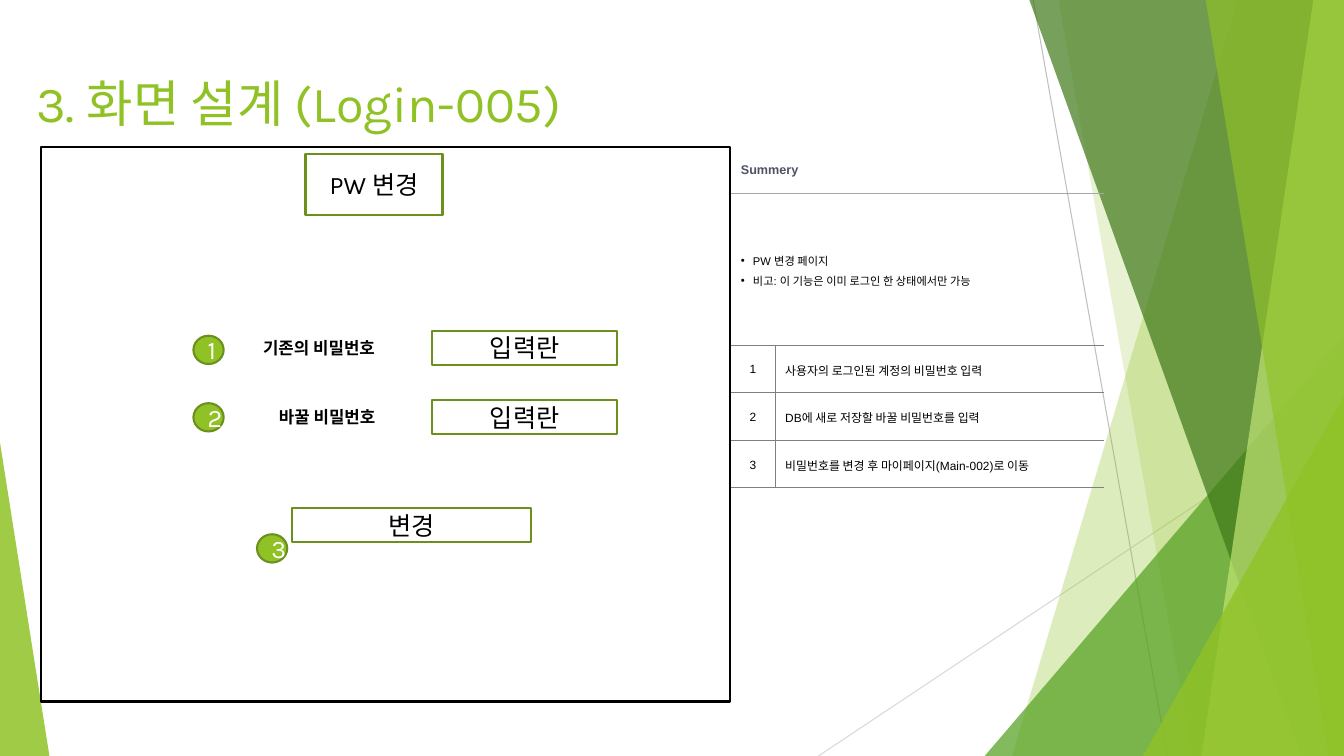
from lxml.etree import SubElement
from pptx import Presentation
from pptx.dml.color import RGBColor
from pptx.enum.shapes import MSO_CONNECTOR, MSO_SHAPE
from pptx.enum.text import MSO_ANCHOR, PP_ALIGN
from pptx.oxml.ns import qn
from pptx.util import Pt

GREEN, DARK_GREEN, WHITE, BLACK = "90C226", "6B901C", "FFFFFF", "000000"
GRAY, LIGHT_GRAY = "808080", "A6A6A6"


def rgb(color):
    return RGBColor.from_string(color)


def add_box(kind, left, top, width, height, fill, line, text="", size=18, color=BLACK, bold=False):
    """Add an outlined shape with centred text."""
    box = slide.shapes.add_shape(kind, Pt(left), Pt(top), Pt(width), Pt(height))
    box.shadow.inherit = False
    box.fill.solid()
    box.fill.fore_color.rgb = rgb(fill)
    box.line.color.rgb = rgb(line)
    box.line.width = Pt(1.5)
    if text:
        box.text_frame.text = text
        box.text_frame.vertical_anchor = MSO_ANCHOR.MIDDLE
        paragraph = box.text_frame.paragraphs[0]
        paragraph.alignment = PP_ALIGN.CENTER
        font = paragraph.runs[0].font
        font.name, font.size, font.bold = "Karla", Pt(size), bold
        font.color.rgb = rgb(color)


presentation = Presentation()
presentation.slide_width, presentation.slide_height = Pt(960), Pt(540)
slide = presentation.slides.add_slide(presentation.slide_layouts[6])

# Background: thin lines, then translucent facets
for x1, y1, x2, y2, color in [(738, 0, 833.8, 540, "BFBFBF"), (960, 290.2, 584.6, 540, "D9D9D9")]:
    ray = slide.shapes.add_connector(MSO_CONNECTOR.STRAIGHT, Pt(x1), Pt(y1), Pt(x2), Pt(y2))
    ray.line.color.rgb = rgb(color)
    ray.line.width = Pt(0.75)
    SubElement(ray._element.spPr, qn("a:effectLst"))

# A band is (top x, bottom x) up to the right edge;
# a triangle is (left, top, width, height, apex).
facets = [
    ((884.2, 722.9), GREEN, 30),
    ((756, 851.8), GREEN, 20),
    ((703.4, 239.8, 256.6, 300.2, 1), "54A021", 72),
    ((735.1, 929.5), "3F7819", 70),
    ((938.2, 858.2), "C0E474", 70),
    ((861.1, 949), GREEN, 65),
    ((816.5, 283, 143.5, 257, 1), GREEN, 80),
    ((0, 316.1, 35.3, 223.9, 0), GREEN, 85),
]
for outline, color, opacity in facets:
    if len(outline) == 2:
        top_x, bottom_x = outline
        builder = slide.shapes.build_freeform(Pt(top_x), Pt(-0.6))
        builder.add_line_segments(
            [(Pt(960), Pt(-0.6)), (Pt(960), Pt(540)), (Pt(bottom_x), Pt(540))], close=True)
        facet = builder.convert_to_shape()
    else:
        *bounds, apex = outline
        facet = slide.shapes.add_shape(MSO_SHAPE.ISOSCELES_TRIANGLE, *map(Pt, bounds))
        facet.adjustments[0] = apex
    facet.shadow.inherit = False
    facet.line.fill.background()
    facet.fill.solid()
    facet.fill.fore_color.rgb = rgb(color)
    tint = facet._element.spPr.find(qn("a:solidFill"))[0]
    SubElement(tint, qn("a:alpha"), val=str(opacity * 1000))

# Title
title = slide.shapes.add_textbox(Pt(18.7), Pt(48.2), Pt(676.8), Pt(61.9)).text_frame
title.word_wrap = True
title.text = "3. 화면 설계 (Login-005)"
title_font = title.paragraphs[0].runs[0].font
title_font.name, title_font.size = "Karla", Pt(36)
title_font.color.rgb = rgb(GREEN)

# Screen mock-up
add_box(MSO_SHAPE.RECTANGLE, 29.5, 105.1, 491.8, 396, WHITE, BLACK)
add_box(MSO_SHAPE.RECTANGLE, 218.2, 110.2, 97.9, 43.2, WHITE, DARK_GREEN, "PW 변경")
for label, label_width, top in [("기존의 비밀번호", 120.2, 236.2), ("바꿀 비밀번호", 131.8, 285.8)]:
    add_box(MSO_SHAPE.RECTANGLE, 167.8, top, label_width, 24.5, WHITE, WHITE, label, 12, bold=True)
    add_box(MSO_SHAPE.RECTANGLE, 308.9, top, 131.8, 24.5, WHITE, DARK_GREEN, "입력란")
add_box(MSO_SHAPE.RECTANGLE, 208.8, 362.9, 170.6, 24.5, WHITE, DARK_GREEN, "변경")
for number, left, top in [("1", 138.2, 239.8), ("2", 138.2, 288), ("3", 183.6, 381.6)]:
    add_box(MSO_SHAPE.OVAL, left, top, 21.6, 20.2, GREEN, DARK_GREEN, number, color=WHITE)

# Summary table
rows = [
    ("Summery", ""),
    ("PW 변경 페이지\n비고: 이 기능은 이미 로그인 한 상태에서만 가능", ""),
    ("1", "사용자의 로그인된 계정의 비밀번호 입력"),
    ("2", "DB에 새로 저장할 바꿀 비밀번호를 입력"),
    ("3", "비밀번호를 변경 후 마이페이지(Main-002)로 이동"),
]
table_frame = slide.shapes.add_table(len(rows), 2, Pt(522), Pt(105.1), Pt(266.4), Pt(243.4))
summary = table_frame.table
summary.first_row = summary.horz_banding = False
summary._tbl.tblPr.find(qn("a:tableStyleId")).text = "{2D5ABB26-0587-4C30-8999-92F81FD0307C}"
for column, width in zip(summary.columns, (31.7, 234.7)):
    column.width = Pt(width)
for row, height in zip(summary.rows, (33.1, 108, 34, 34, 34)):
    row.height = Pt(height)
for row_index in (0, 1):
    summary.cell(row_index, 0).merge(summary.cell(row_index, 1))

for row_index, texts in enumerate(rows):
    for column_index, text in enumerate(texts):
        cell = summary.cell(row_index, column_index)
        if row_index == 0:
            borders = {"B": LIGHT_GRAY}
        elif row_index == 1:
            borders = {"T": LIGHT_GRAY, "B": GRAY}
        else:
            borders = {"L" if column_index else "R": GRAY, "T": GRAY, "B": GRAY}
        properties = cell._tc.get_or_add_tcPr()
        for side in "LRTB":
            if side in borders:
                edge = SubElement(properties, qn(f"a:ln{side}"), w=str(Pt(0.25)))
                SubElement(SubElement(edge, qn("a:solidFill")), qn("a:srgbClr"), val=borders[side])
        cell.fill.background()
        cell.vertical_anchor = MSO_ANCHOR.MIDDLE
        if not text:
            continue
        cell.text_frame.text = text
        for paragraph in cell.text_frame.paragraphs:
            if row_index == 1:
                indents = paragraph._p.get_or_add_pPr()
                indents.set("marL", str(Pt(8.64)))
                indents.set("indent", str(Pt(-8.64)))
                SubElement(indents, qn("a:buFont"), typeface="Arial")
                SubElement(indents, qn("a:buChar"), char="•")
            if row_index > 0:
                paragraph.line_spacing = 1.2
                is_number = row_index > 1 and column_index == 0
                paragraph.alignment = PP_ALIGN.CENTER if is_number else PP_ALIGN.JUSTIFY
            font = paragraph.runs[0].font
            font.name, font.bold = "Arial", row_index == 0
            font.size = Pt((9, 8, 8.5, 8.5, 8.5)[row_index])
            font.color.rgb = rgb(BLACK if row_index else "4E5263")

presentation.save("out.pptx")
